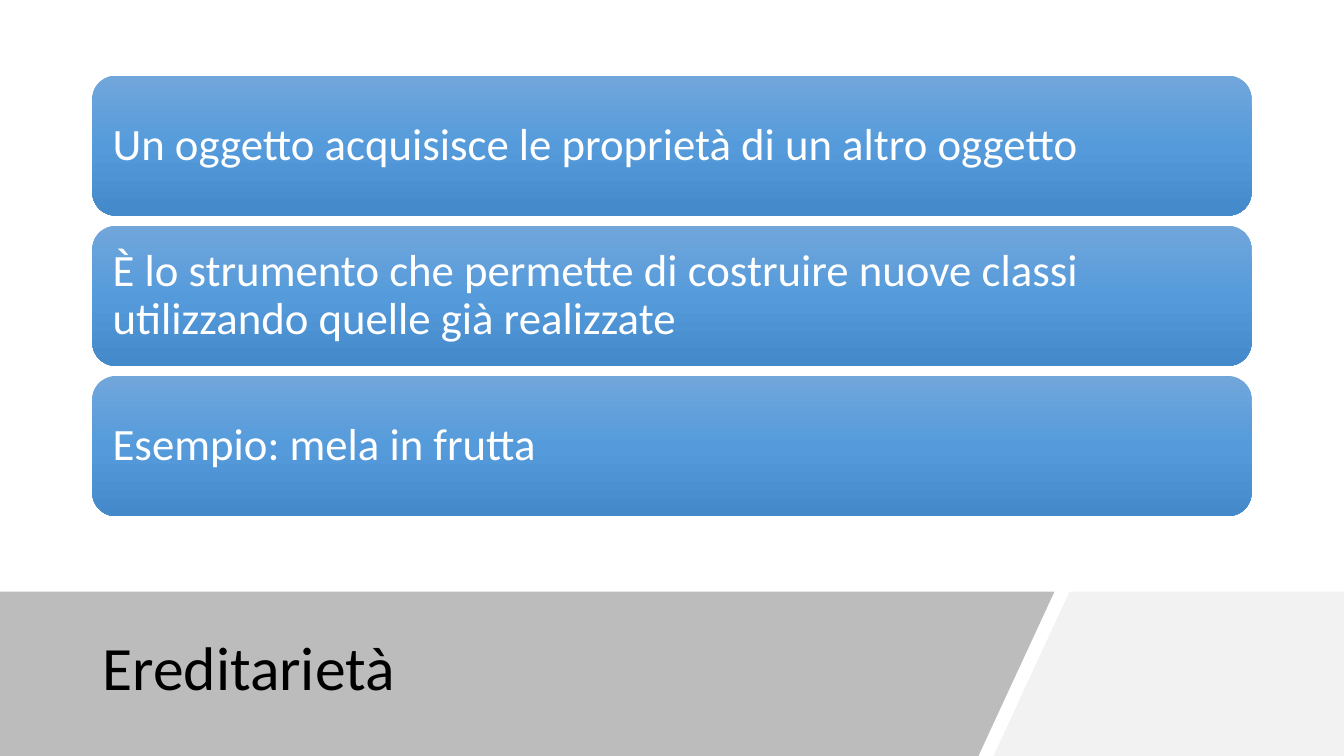
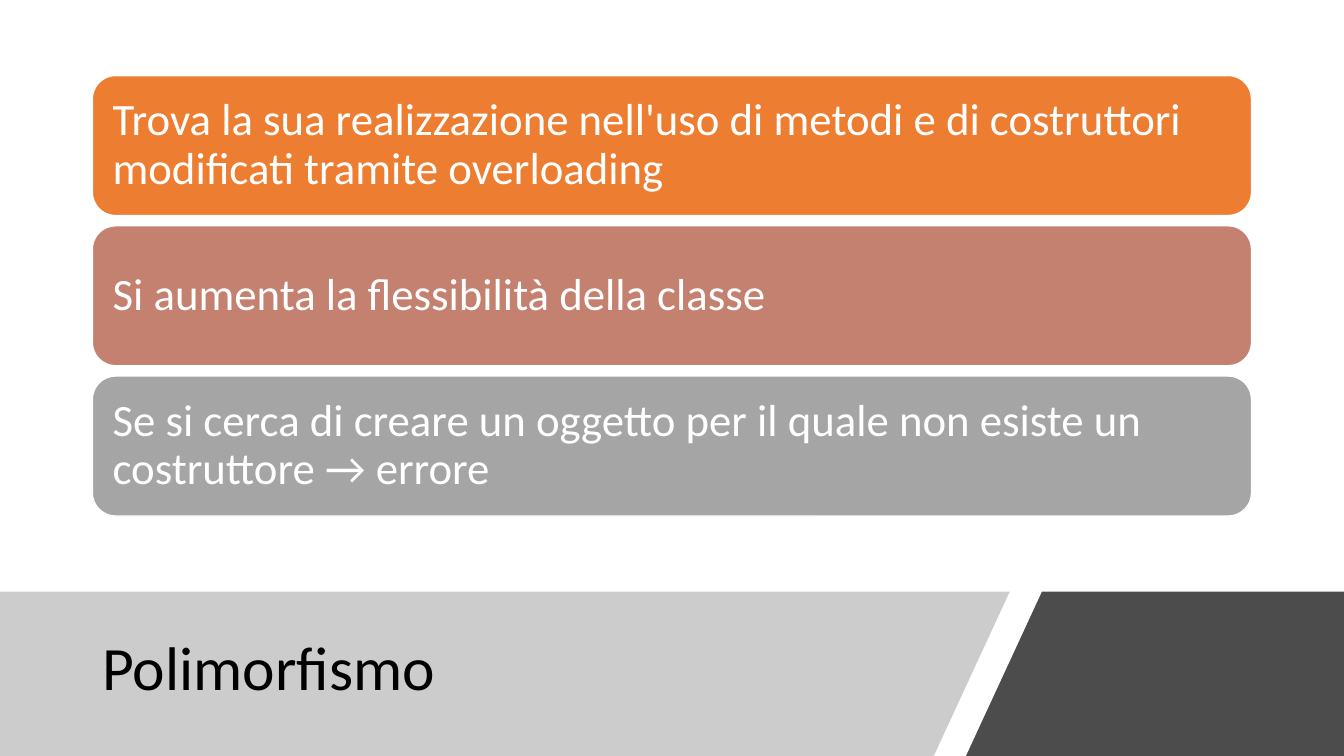
"""Build two slides of stacked statements above a slanted title band."""
import copy
from dataclasses import dataclass
from typing import Any

import lxml.etree
import pptx
import pptx.dml.color
import pptx.enum.shapes
import pptx.enum.text
import pptx.oxml.ns
import pptx.util

Pt = pptx.util.Pt
qn = pptx.oxml.ns.qn

WIDTH, HEIGHT = 960, 540
BAND_TOP, SLANT = 422.6, 54.3
BOX_LEFT, BOX_TOP, BOX_WIDTH, BOX_HEIGHT, BOX_GAP = 66, 54, 828, 100, 7.3
TITLE_TOP, TITLE_HEIGHT = 435.6, 86.4
BLUE = ("71A6DB", "559BDB", "448ACA")
WHITE, BLACK = "FFFFFF", "000000"
BOX_FRAME = {f"margin_{side}": Pt(9.6) for side in ("left", "right", "top", "bottom")}


@dataclass(frozen=True)
class Panel:
    edge: float
    color: str
    opacity: int = 100


@dataclass(frozen=True)
class Box:
    text: str
    colors: tuple[str, ...]
    outlined: bool = False


@dataclass(frozen=True)
class Page:
    title: str
    title_width: float
    left: Panel
    right: Panel
    boxes: tuple[Box, ...]


PAGES = (
    Page("Ereditarietà", 636, Panel(753.2, "595959", 40), Panel(764, "F2F2F2"), (
        Box("Un oggetto acquisisce le proprietà di un altro oggetto", BLUE),
        Box("È lo strumento che permette di costruire nuove classi utilizzando quelle già realizzate", BLUE),
        Box("Esempio: mela in frutta", BLUE),
    )),
    Page("Polimorfismo", 608, Panel(721.3, "808080", 40), Panel(744.3, BLACK, 70), (
        Box("Trova la sua realizzazione nell'uso di metodi e di costruttori modificati tramite overloading",
            ("ED7D31",), True),
        Box("Si aumenta la flessibilità della classe", ("C48170",), True),
        Box("Se si cerca di creare un oggetto per il quale non esiste un costruttore → errore",
            ("A5A5A5",), True),
    )),
)


def rgb(color: str) -> pptx.dml.color.RGBColor:
    return pptx.dml.color.RGBColor.from_string(color)


def set_format(target: Any, values: dict[str, Any]) -> None:
    for name, value in values.items():
        setattr(target, name, value)


def write_text(sp: Any, text: str, size: float, color: str, frame: dict[str, Any]) -> None:
    tf = sp.text_frame
    set_format(tf, {"word_wrap": True,
                    "vertical_anchor": pptx.enum.text.MSO_ANCHOR.MIDDLE, **frame})
    p = tf.paragraphs[0]
    set_format(p, {"alignment": pptx.enum.text.PP_ALIGN.LEFT, "line_spacing": 0.9})
    r = p.add_run()
    r.text = text
    set_format(r.font, {"name": "Calibri", "size": Pt(size)})
    r.font.color.rgb = rgb(color)


def fill_solid(sp: Any, color: str, opacity: int = 100) -> None:
    sp.fill.solid()
    sp.fill.fore_color.rgb = rgb(color)
    if opacity < 100:
        clr = sp._element.spPr.find(f"{qn('a:solidFill')}/{qn('a:srgbClr')}")
        lxml.etree.SubElement(clr, qn("a:alpha"), val=str(opacity * 1000))


def fill_gradient(sp: Any, colors: tuple[str, ...]) -> None:
    sp.fill.gradient()
    sp.fill.gradient_angle = 270
    stops = sp._element.spPr.find(f".//{qn('a:gsLst')}")
    while len(stops) < len(colors):
        stops.append(copy.deepcopy(stops[-1]))
    for i, (stop, color) in enumerate(zip(sp.fill.gradient_stops, colors)):
        stop.position = i / (len(colors) - 1)
        stop.color.rgb = rgb(color)


def add_panel(s: Any, panel: Panel, side: float) -> None:
    start, *rest = [(Pt(x), Pt(y)) for x, y in (
        (side, BAND_TOP), (panel.edge, BAND_TOP), (panel.edge - SLANT, HEIGHT), (side, HEIGHT))]
    builder = s.shapes.build_freeform(*start)
    builder.add_line_segments(rest, close=True)
    sp = builder.convert_to_shape()
    sp.shadow.inherit = False
    sp.line.fill.background()
    fill_solid(sp, panel.color, panel.opacity)


def add_box(s: Any, box: Box, top: float) -> None:
    sp = s.shapes.add_shape(pptx.enum.shapes.MSO_SHAPE.ROUNDED_RECTANGLE,
                            Pt(BOX_LEFT), Pt(top), Pt(BOX_WIDTH), Pt(BOX_HEIGHT))
    sp.shadow.inherit = False
    if len(box.colors) > 1:
        fill_gradient(sp, box.colors)
    else:
        fill_solid(sp, box.colors[0])
    if box.outlined:
        sp.line.color.rgb = rgb(WHITE)
        sp.line.width = Pt(1)
    else:
        sp.line.fill.background()
    write_text(sp, box.text, 32, WHITE, BOX_FRAME)


def add_page(prs: Any, page: Page) -> None:
    s = prs.slides.add_slide(prs.slide_layouts[6])
    add_panel(s, page.left, 0)
    add_panel(s, page.right, WIDTH)
    title = s.shapes.add_textbox(Pt(BOX_LEFT), Pt(TITLE_TOP), Pt(page.title_width), Pt(TITLE_HEIGHT))
    write_text(title, page.title, 44, BLACK, {})
    for i, box in enumerate(page.boxes):
        add_box(s, box, BOX_TOP + i * (BOX_HEIGHT + BOX_GAP))


def main() -> None:
    prs = pptx.Presentation()
    set_format(prs, {"slide_width": Pt(WIDTH), "slide_height": Pt(HEIGHT)})
    for page in PAGES:
        add_page(prs, page)
    prs.save("out.pptx")


if __name__ == "__main__":
    main()
